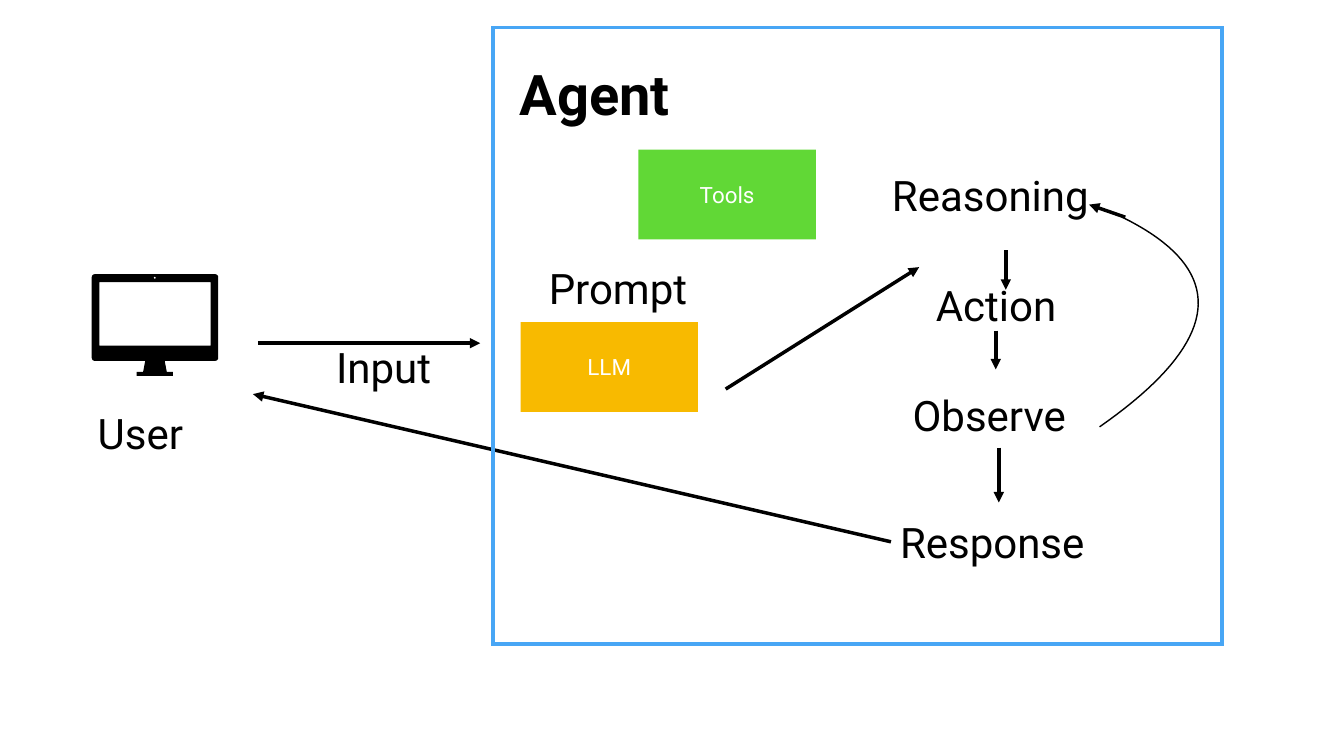
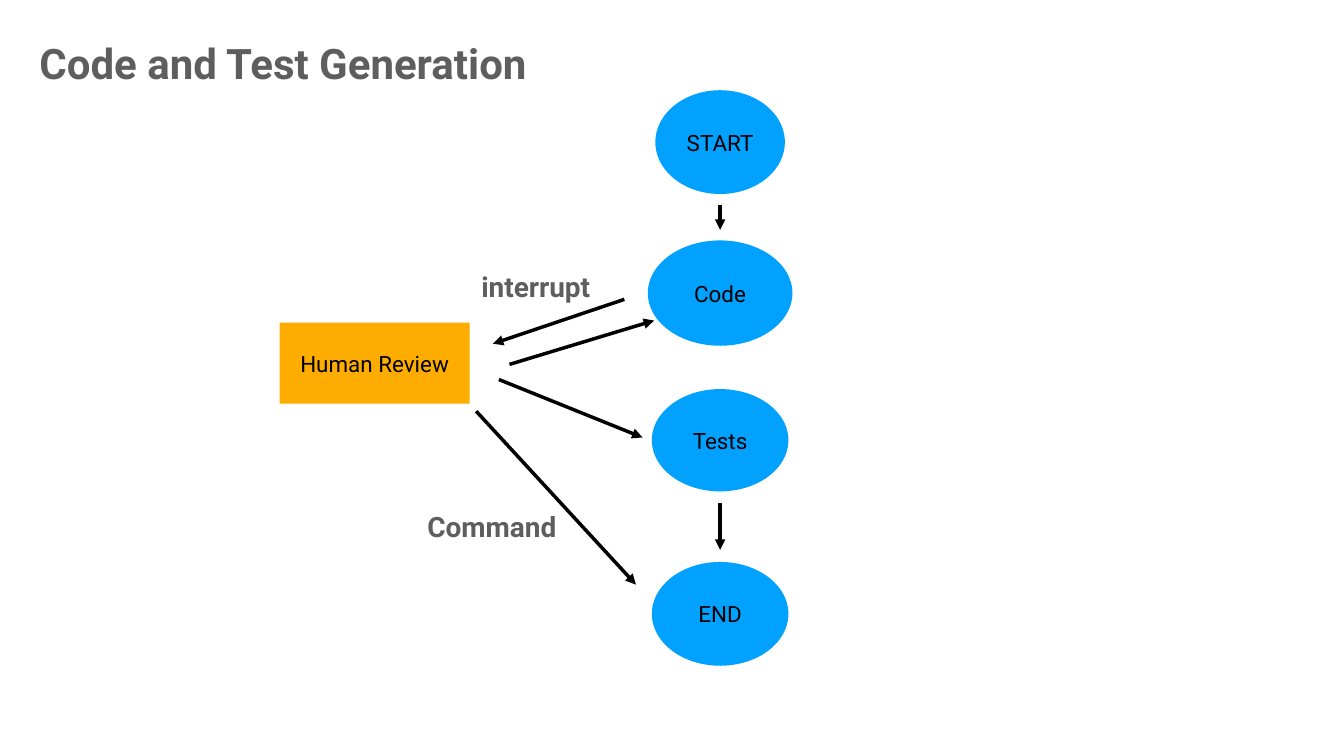
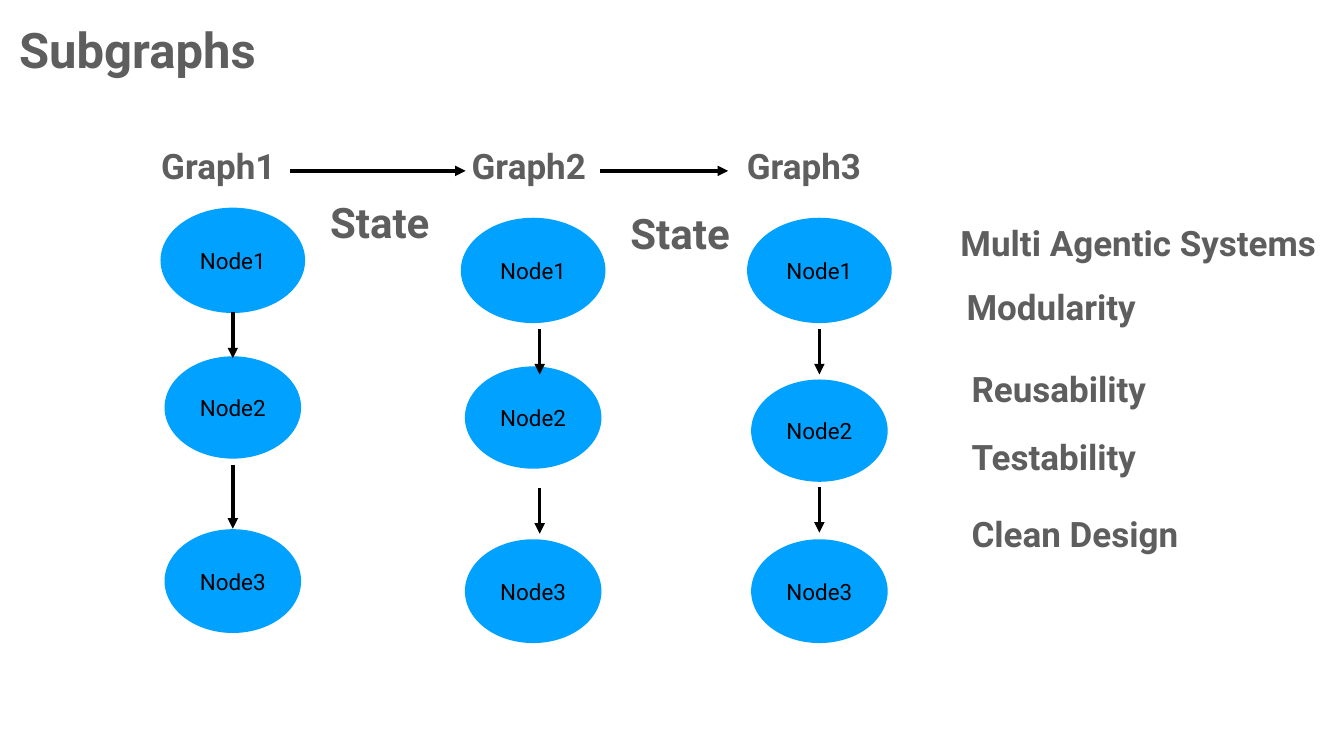
from math import cos, pi, sin
from typing import NamedTuple

from lxml.etree import SubElement
from pptx import Presentation
from pptx.dml.color import RGBColor
from pptx.enum.shapes import MSO_CONNECTOR, MSO_SHAPE
from pptx.enum.text import MSO_ANCHOR, MSO_AUTO_SIZE, PP_ALIGN
from pptx.oxml.ns import qn
from pptx.util import Inches, Pt

BLACK = RGBColor(0x00, 0x00, 0x00)
WHITE = RGBColor(0xFF, 0xFF, 0xFF)
GREY = RGBColor(0x5E, 0x5E, 0x5E)
BLUE = RGBColor(0x00, 0xA1, 0xFF)
FRAME_BLUE = RGBColor(0x48, 0xA6, 0xF5)
GREEN = RGBColor(0x61, 0xD8, 0x36)
YELLOW = RGBColor(0xF8, 0xBA, 0x00)
ORANGE = RGBColor(0xFE, 0xAD, 0x00)

FONT = "Roboto"
INSET = 0.06
LINE_WIDTH = Pt(5)
TITLE_ONLY = 5


class Box(NamedTuple):
    x: float
    y: float
    w: float
    h: float

    def lengths(self):
        return [Inches(v) for v in self]


class Label(NamedTuple):
    text: str
    box: Box


class Arrow(NamedTuple):
    x1: float
    y1: float
    x2: float
    y2: float


class Node(NamedTuple):
    text: str
    top: float
    w: float
    h: float


class Graph(NamedTuple):
    label: Label
    center: float
    node_tops: tuple
    arrow_x: float
    arrow_spans: tuple


NODE_SIZES = ((2.87, 2.09), (2.71, 2.03), (2.71, 2.06))


def write(tf, text: str, *, size: int, color=BLACK, bold=False, inset=INSET,
          align=PP_ALIGN.LEFT):
    tf.margin_left = tf.margin_right = Inches(inset)
    tf.margin_top = tf.margin_bottom = Inches(inset)
    tf.vertical_anchor = MSO_ANCHOR.MIDDLE
    p = tf.paragraphs[0]
    p.alignment = align
    r = p.add_run()
    r.text = text
    r.font.name = FONT
    r.font.size = Pt(size)
    r.font.bold = bold
    r.font.color.rgb = color


def fit_to_text(tf):
    tf.word_wrap = False
    tf.auto_size = MSO_AUTO_SIZE.SHAPE_TO_FIT_TEXT


def add_titled_slide(prs, title: Label, size: int, color=GREY):
    s = prs.slides.add_slide(prs.slide_layouts[TITLE_ONLY])
    sp = s.shapes.title
    sp.left, sp.top, sp.width, sp.height = title.box.lengths()
    write(sp.text_frame, title.text, size=size, color=color, bold=True)
    fit_to_text(sp.text_frame)
    return s


def add_label(s, label: Label, **style):
    tf = s.shapes.add_textbox(*label.box.lengths()).text_frame
    write(tf, label.text, **style)
    fit_to_text(tf)


def add_block(s, label: Label, fill, kind=MSO_SHAPE.RECTANGLE, color=BLACK, inset=INSET):
    sp = s.shapes.add_shape(kind, *label.box.lengths())
    sp.shadow.inherit = False
    sp.fill.solid()
    sp.fill.fore_color.rgb = fill
    sp.line.fill.background()
    write(sp.text_frame, label.text, size=32, color=color, inset=inset,
          align=PP_ALIGN.CENTER)


def add_node(s, node: Node, center: float):
    box = Box(center - node.w / 2, node.top, node.w, node.h)
    add_block(s, Label(node.text, box), BLUE, kind=MSO_SHAPE.OVAL)


def add_arrow(s, arrow: Arrow):
    cx = s.shapes.add_connector(MSO_CONNECTOR.STRAIGHT, *[Inches(v) for v in arrow])
    cx.line.color.rgb = BLACK
    cx.line.width = LINE_WIDTH
    spPr = cx._element.spPr
    SubElement(spPr.find(qn("a:ln")), qn("a:tailEnd"), type="triangle")
    SubElement(spPr, qn("a:effectLst"))


def add_frame(s, box: Box):
    sp = s.shapes.add_shape(MSO_SHAPE.RECTANGLE, *box.lengths())
    sp.shadow.inherit = False
    sp.fill.background()
    sp.line.color.rgb = FRAME_BLUE
    sp.line.width = LINE_WIDTH
    SubElement(sp._element.spPr.find(qn("a:ln")), qn("a:miter"), lim="400000")


def add_outline(s, contours: list, closed=True):
    """Draw one freeform from lists of (x, y) points in inches."""
    builder = None
    for contour in contours:
        start, *rest = [(Inches(x), Inches(y)) for x, y in contour]
        if builder is None:
            builder = s.shapes.build_freeform(*start)
        else:
            builder.move_to(*start)
        builder.add_line_segments(rest, close=closed)
    sp = builder.convert_to_shape()
    sp.shadow.inherit = False
    return sp


def arc(cx: float, cy: float, radius: float, start: int, end: int, steps: int) -> list:
    """Points clockwise on a circle, with angles in degrees from the right."""
    angles = [(start + (end - start) * i / steps) * pi / 180 for i in range(steps + 1)]
    return [(cx + radius * cos(a), cy + radius * sin(a)) for a in angles]


def add_monitor(s):
    left, right, top, bottom, radius = 1.82, 4.33, 5.44, 7.16, 0.06
    x0, x1, y0, y1 = left + radius, right - radius, top + radius, bottom - radius
    stand = [(3.27, 7.17), (3.31, 7.38), (3.43, 7.38), (3.43, 7.46),
             (2.71, 7.46), (2.71, 7.38), (2.84, 7.38), (2.88, 7.17)]
    body = (arc(x0, y0, radius, 180, 270, 4) + arc(x1, y0, radius, 270, 360, 4)
            + arc(x1, y1, radius, 0, 90, 4) + [(3.27, bottom)] + stand
            + [(2.88, bottom)] + arc(x0, y1, radius, 90, 180, 4))
    camera = arc(3.07, 5.51, 0.02, 360, 0, 12)
    screen = [(1.97, 5.6), (1.97, 6.86), (4.18, 6.86), (4.18, 5.6)]
    sp = add_outline(s, [body, camera, screen])
    sp.fill.solid()
    sp.fill.fore_color.rgb = BLACK
    sp.line.fill.background()


def add_loop_curve(s, a: tuple, b: tuple, c: tuple, d: tuple, steps=40):
    """Draw the cubic curve from a to d with control points b and c."""
    def point(t: float) -> tuple:
        weights = ((1 - t) ** 3, 3 * t * (1 - t) ** 2, 3 * t * t * (1 - t), t ** 3)
        return tuple(sum(w * p[axis] for w, p in zip(weights, (a, b, c, d)))
                     for axis in (0, 1))

    sp = add_outline(s, [[point(i / steps) for i in range(steps + 1)]], closed=False)
    sp.fill.background()
    sp.line.color.rgb = BLACK
    sp.line.width = Pt(2)


def build_agent(prs):
    s = add_titled_slide(prs, Label("Agent", Box(10.25, 1.13, 3.25, 1.43)), 80, BLACK)
    for text, x, y, w in (
        ("User", 1.88, 8.04, 1.87),
        ("Input", 6.61, 6.74, 2.1),
        ("Prompt", 10.83, 5.16, 2.95),
        ("Reasoning", 17.64, 3.32, 4.08),
        ("Action", 18.51, 5.51, 2.65),
        ("Observe", 18.05, 7.69, 3.26),
        ("Response", 17.8, 10.21, 3.86),
    ):
        add_label(s, Label(text, Box(x, y, w, 1.09)), size=60)
    for text, x, y, fill in (("LLM", 10.33, 6.39, YELLOW), ("Tools", 12.67, 2.97, GREEN)):
        add_block(s, Label(text, Box(x, y, 3.52, 1.78)), fill, color=WHITE, inset=0)
    for arrow in (
        Arrow(5.12, 6.81, 9.53, 6.81),
        Arrow(14.4, 7.72, 18.24, 5.3),
        Arrow(19.96, 4.97, 19.96, 5.75),
        Arrow(19.76, 6.56, 19.76, 7.33),
        Arrow(19.82, 8.88, 19.82, 9.97),
        Arrow(22.33, 4.31, 21.61, 4.06),
        Arrow(17.68, 10.75, 5.02, 7.82),
    ):
        add_arrow(s, arrow)
    add_monitor(s)
    add_frame(s, Box(9.78, 0.55, 14.47, 12.23))
    add_loop_curve(s, (21.82, 8.47), (24.27, 6.76), (24.42, 5.37), (22.27, 4.31))


def build_code_and_tests(prs):
    title = Label("Code and Test Generation", Box(0.72, 0.68, 10.45, 1.11))
    s = add_titled_slide(prs, title, 60)
    center = 14.29
    add_node(s, Node("START", 1.79, 2.57, 2.06), center)
    for text, top, size in zip(("Code", "Tests", "END"), (4.77, 7.72, 11.15), NODE_SIZES):
        add_node(s, Node(text, top, *size), center)
    add_block(s, Label("Human Review", Box(5.55, 6.4, 3.77, 1.61)), ORANGE)
    for arrow in (
        Arrow(center, 4.06, center, 4.56),
        Arrow(center, 9.99, center, 10.91),
        Arrow(12.39, 5.94, 9.78, 6.82),
        Arrow(10.11, 7.23, 12.98, 6.36),
        Arrow(9.9, 7.53, 12.75, 8.68),
        Arrow(9.45, 8.16, 12.62, 11.6),
    ):
        add_arrow(s, arrow)
    for label in (
        Label("interrupt", Box(9.49, 5.3, 2.41, 0.78)),
        Label("Command", Box(8.42, 10.06, 2.87, 0.78)),
    ):
        add_label(s, label, size=40, color=GREY, bold=True)


def add_graph(s, graph: Graph):
    add_label(s, graph.label, size=50, color=GREY, bold=True)
    for i, (top, size) in enumerate(zip(graph.node_tops, NODE_SIZES), 1):
        add_node(s, Node(f"Node{i}", top, *size), graph.center)
    for y1, y2 in graph.arrow_spans:
        add_arrow(s, Arrow(graph.arrow_x, y1, graph.arrow_x, y2))


def build_subgraphs(prs):
    s = add_titled_slide(prs, Label("Subgraphs", Box(0.32, 0.35, 5.15, 1.26)), 70)
    for graph in (
        Graph(Label("Graph1", Box(3.14, 2.81, 2.54, 0.94)), 4.62,
              (4.12, 7.07, 10.5), 4.62, ((6.2, 7.11), (9.22, 10.49))),
        Graph(Label("Graph2", Box(9.3, 2.81, 2.54, 0.94)), 10.58,
              (4.32, 7.27, 10.7), 10.71, ((6.52, 7.43), (9.68, 10.59))),
        Graph(Label("Graph3", Box(14.76, 2.81, 2.54, 0.94)), 16.26,
              (4.32, 7.53, 10.7), 16.26, ((6.52, 7.43), (9.66, 10.57))),
    ):
        add_graph(s, graph)
    for x, y in ((6.49, 3.84), (12.45, 4.07)):
        add_label(s, Label("State", Box(x, y, 2.21, 1.11)), size=60, color=GREY, bold=True)
    for x1, x2 in ((5.75, 9.24), (11.91, 14.45)):
        add_arrow(s, Arrow(x1, 3.39, x2, 3.39))
    for text, x, y, w in (
        ("Multi Agentic Systems", 19, 4.34, 7.52),
        ("Modularity", 19.12, 5.62, 3.65),
        ("Reusability", 19.22, 7.23, 3.78),
        ("Testability", 19.22, 8.58, 3.45),
        ("Clean Design", 19.22, 10.12, 4.52),
    ):
        add_label(s, Label(text, Box(x, y, w, 0.94)), size=50, color=GREY, bold=True)


def main():
    prs = Presentation()
    prs.slide_width, prs.slide_height = Inches(26.67), Inches(15)
    build_agent(prs)
    build_code_and_tests(prs)
    build_subgraphs(prs)
    prs.save("out.pptx")


if __name__ == "__main__":
    main()
